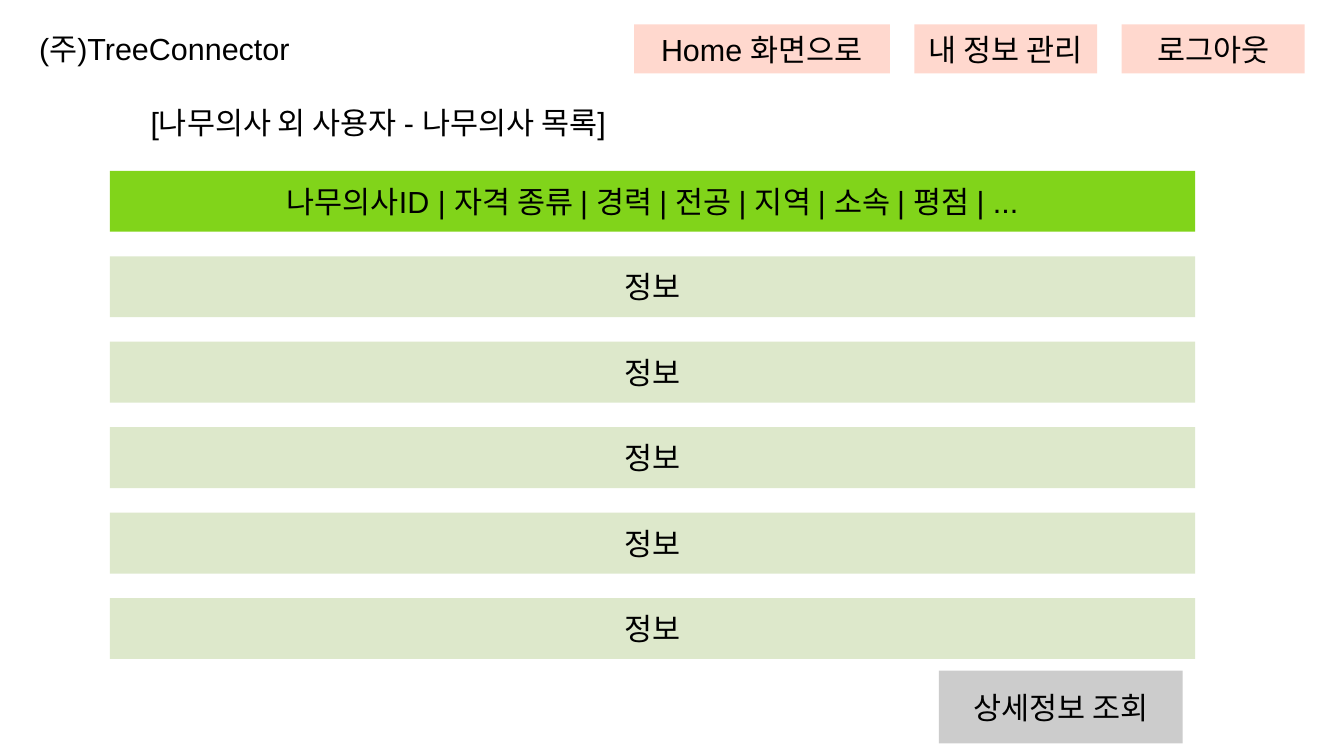
"""Build the tree doctor list screen of the TreeConnector service."""
from dataclasses import dataclass

from pptx import Presentation
from pptx.dml.color import RGBColor
from pptx.enum.shapes import MSO_SHAPE as Shape
from pptx.enum.text import MSO_ANCHOR as Anchor, MSO_AUTO_SIZE as AutoSize, PP_ALIGN as Align
from pptx.util import Cm, Pt

WHITE, BLACK = "FFFFFF", "000000"
PEACH, GREEN, PALE_GREEN, GRAY = "FFD8CE", "81D41A", "DDE8CB", "CCCCCC"
LIST_LEFT, LIST_TOP, LIST_WIDTH = 2.29, 3.56, 22.61
ROW_HEIGHT, ROW_PITCH, ROW_COUNT = 1.27, 1.78, 5
MENU_TOP, MENU_HEIGHT = 0.51, 1.02


@dataclass(frozen=True)
class Panel:
    text: str
    left: float
    top: float
    width: float
    height: float
    fill: str


COMPANY = Panel("(주)TreeConnector", 0.76, 0.25, 5.33, 1.52, WHITE)
HEADING = Panel("[나무의사 외 사용자 - 나무의사 목록]", LIST_LEFT, 2.03, 11.18, 1.02, WHITE)
MENU = [
    Panel(text, left, MENU_TOP, width, MENU_HEIGHT, PEACH)
    for text, left, width in [
        ("Home 화면으로", 13.21, 5.33),
        ("내 정보 관리", 19.05, 3.81),
        ("로그아웃", 23.37, 3.81),
    ]
]
COLUMNS = Panel(
    "나무의사ID | 자격 종류 | 경력 | 전공 | 지역 | 소속 | 평점 | ...",
    LIST_LEFT, LIST_TOP, LIST_WIDTH, ROW_HEIGHT, GREEN,
)
ROWS = [
    Panel("정보", LIST_LEFT, LIST_TOP + row * ROW_PITCH, LIST_WIDTH, ROW_HEIGHT, PALE_GREEN)
    for row in range(1, ROW_COUNT + 1)
]
DETAIL_BUTTON = Panel("상세정보 조회", 19.56, 13.97, 5.08, 1.52, GRAY)


def color(value: str) -> RGBColor:
    return RGBColor.from_string(value)


def format_panel(shape, panel: Panel) -> None:
    shape.left, shape.top = Cm(panel.left), Cm(panel.top)
    shape.width, shape.height = Cm(panel.width), Cm(panel.height)
    shape.fill.solid()
    shape.fill.fore_color.rgb = color(panel.fill)
    shape.line.fill.background()
    frame = shape.text_frame
    frame.text = panel.text
    frame.word_wrap = False
    frame.auto_size = AutoSize.NONE
    frame.vertical_anchor = Anchor.MIDDLE
    paragraph = frame.paragraphs[0]
    paragraph.alignment = Align.CENTER
    font = paragraph.runs[0].font
    font.name, font.size = "Arial", Pt(18)
    font.color.rgb = color(BLACK)


def add_panel(slide, panel: Panel) -> None:
    shape = slide.shapes.add_shape(Shape.RECTANGLE, 0, 0, 0, 0)
    shape.shadow.inherit = False
    format_panel(shape, panel)


def main() -> None:
    presentation = Presentation()
    presentation.slide_width, presentation.slide_height = Cm(28), Cm(15.75)
    slide = presentation.slides.add_slide(presentation.slide_layouts.get_by_name("Title Only"))
    format_panel(slide.shapes.title, HEADING)
    for panel in [COMPANY, *MENU, COLUMNS, *ROWS, DETAIL_BUTTON]:
        add_panel(slide, panel)
    presentation.save("out.pptx")


if __name__ == "__main__":
    main()
